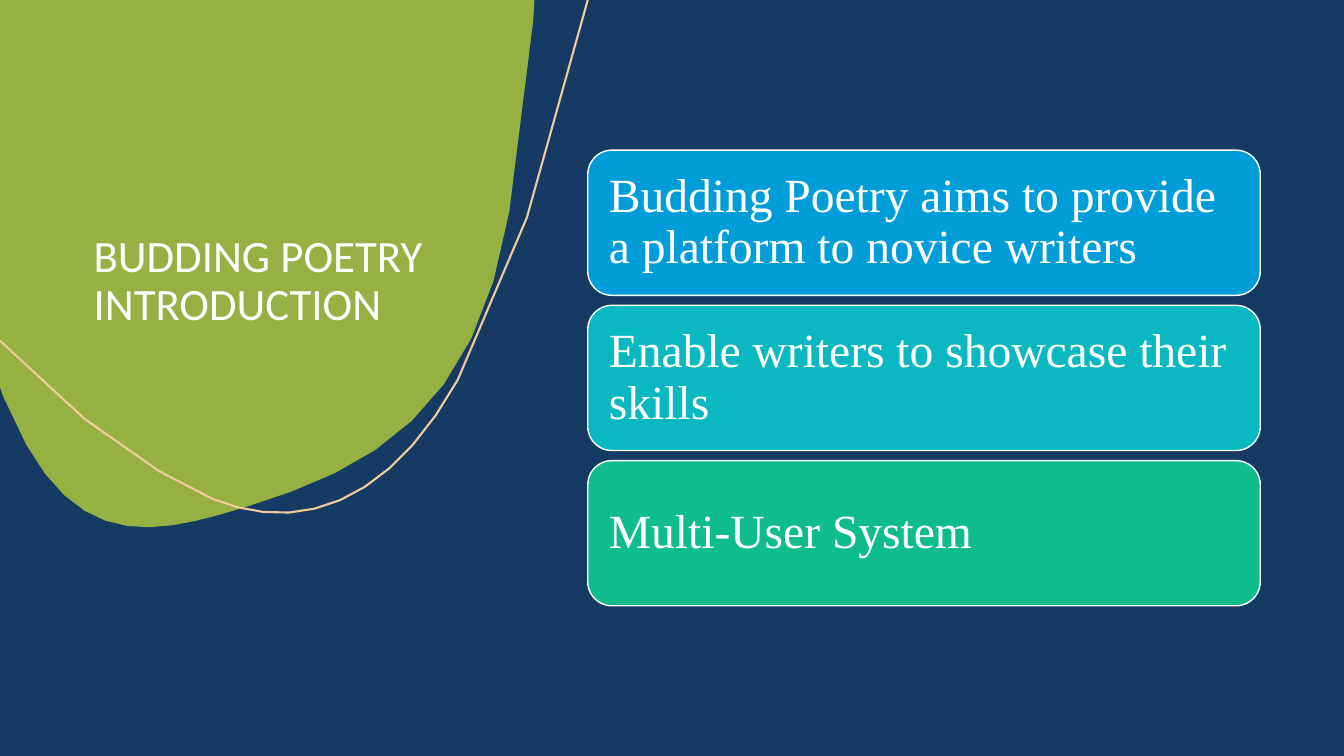
import math

from pptx import Presentation
from pptx import util as u
from pptx.dml.color import RGBColor
from pptx.enum import shapes, text

COLORS = {
    "navy": "153A63",
    "green": "96B042",
    "peach": "F1CB9C",
    "white": "FFFFFF",
    "blue": "009DD9",
    "teal": "09B8C0",
    "emerald": "0EBC8C",
}
TURN_PER_STEP = 0.15  # radians


def rgb(name):
    return RGBColor.from_string(COLORS[name])


def draw_outline(slide, start, segments, close):
    """Draw lines (one point) and cubic curves (three points), in inches."""
    points = [start]
    for segment in segments:
        if len(segment) == 1:
            points.append(segment[0])
            continue
        a, b, c, d = points[-1], *segment
        turn = math.atan2(d[1] - c[1], d[0] - c[0]) - math.atan2(b[1] - a[1], b[0] - a[0])
        steps = math.ceil(abs(math.remainder(turn, math.tau)) / TURN_PER_STEP)
        for step in range(1, steps + 1):
            t = step / steps
            weights = ((1 - t) ** 3, 3 * t * (1 - t) ** 2, 3 * t * t * (1 - t), t ** 3)
            points.append(tuple(sum(w * p[axis] for w, p in zip(weights, (a, b, c, d)))
                                for axis in (0, 1)))
    corners = [(u.Inches(x), u.Inches(y)) for x, y in points]
    builder = slide.shapes.build_freeform(*corners[0])
    builder.add_line_segments(corners[1:], close=close)
    outline = builder.convert_to_shape()
    outline.shadow.inherit = False
    return outline


prs = Presentation()
prs.slide_width, prs.slide_height = u.Inches(13.33), u.Inches(7.5)
slide = prs.slides.add_slide(prs.slide_layouts[6])
slide.background.fill.solid()
slide.background.fill.fore_color.rgb = rgb("navy")

# Green blob in the corner
blob = draw_outline(slide, (5.3, 0), [
    [(5.29, 0.2)],
    [(5.25, 0.82), (5.16, 1.46), (5.05, 2.11)],
    [(4.72, 4.11), (3.67, 4.65), (2.44, 5.03)],
    [(1.61, 5.28), (0.86, 5.49), (0.26, 4.41)],
    [(0.17, 4.26), (0.1, 4.1), (0.03, 3.93)],
    [(0, 3.84)],
    [(0, 0)],
], close=True)
blob.fill.solid()
blob.fill.fore_color.rgb = rgb("green")
blob.line.fill.background()

# Thin curve over the blob
swoosh = draw_outline(slide, (5.83, 0), [
    [(5.47, 1.57), (5.01, 2.93), (4.54, 3.77)],
    [(3.83, 5.04), (2.94, 5.29), (2.11, 4.95)],
    [(1.73, 4.8), (0.84, 4.28), (0, 3.38)],
], close=False)
swoosh.fill.background()
swoosh.line.color.rgb = rgb("peach")
swoosh.line.width = u.Pt(1.5)

# Title
title = slide.shapes.add_textbox(u.Inches(0.83), u.Inches(0.83), u.Inches(3.74), u.Inches(2.5))
title_frame = title.text_frame
title_frame.word_wrap = True
title_frame.vertical_anchor = text.MSO_ANCHOR.BOTTOM
title_line = title_frame.paragraphs[0]
title_line.line_spacing = 0.9
title_line.space_after = u.Pt(6)
title_run = title_line.add_run()
title_run.text = "BUDDING POETRY INTRODUCTION"
title_run.font.name = "Calibri"
title_run.font.size = u.Pt(32)
title_run.font.color.rgb = rgb("white")

# Stack of goals
goals = [
    ("Budding Poetry aims to provide a platform to novice writers", "blue"),
    ("Enable writers to showcase their skills", "teal"),
    ("Multi-User System", "emerald"),
]
for row, (goal, color) in enumerate(goals):
    card = slide.shapes.add_shape(
        shapes.MSO_SHAPE.ROUNDED_RECTANGLE,
        u.Inches(5.83), u.Inches(1.49 + 1.54 * row), u.Inches(6.67), u.Inches(1.44))
    card.shadow.inherit = False
    card.fill.solid()
    card.fill.fore_color.rgb = rgb(color)
    card.line.color.rgb = rgb("white")
    card.line.width = u.Pt(1)

    frame = card.text_frame
    frame.word_wrap = True
    frame.vertical_anchor = text.MSO_ANCHOR.MIDDLE
    frame.margin_left = frame.margin_right = u.Inches(0.14)
    frame.margin_top = frame.margin_bottom = u.Inches(0.14)
    goal_line = frame.paragraphs[0]
    goal_line.alignment = text.PP_ALIGN.LEFT
    goal_line.line_spacing = 0.9
    goal_run = goal_line.add_run()
    goal_run.text = goal
    goal_run.font.name = "Times New Roman"
    goal_run.font.size = u.Pt(34)
    goal_run.font.color.rgb = rgb("white")

prs.save("out.pptx")
